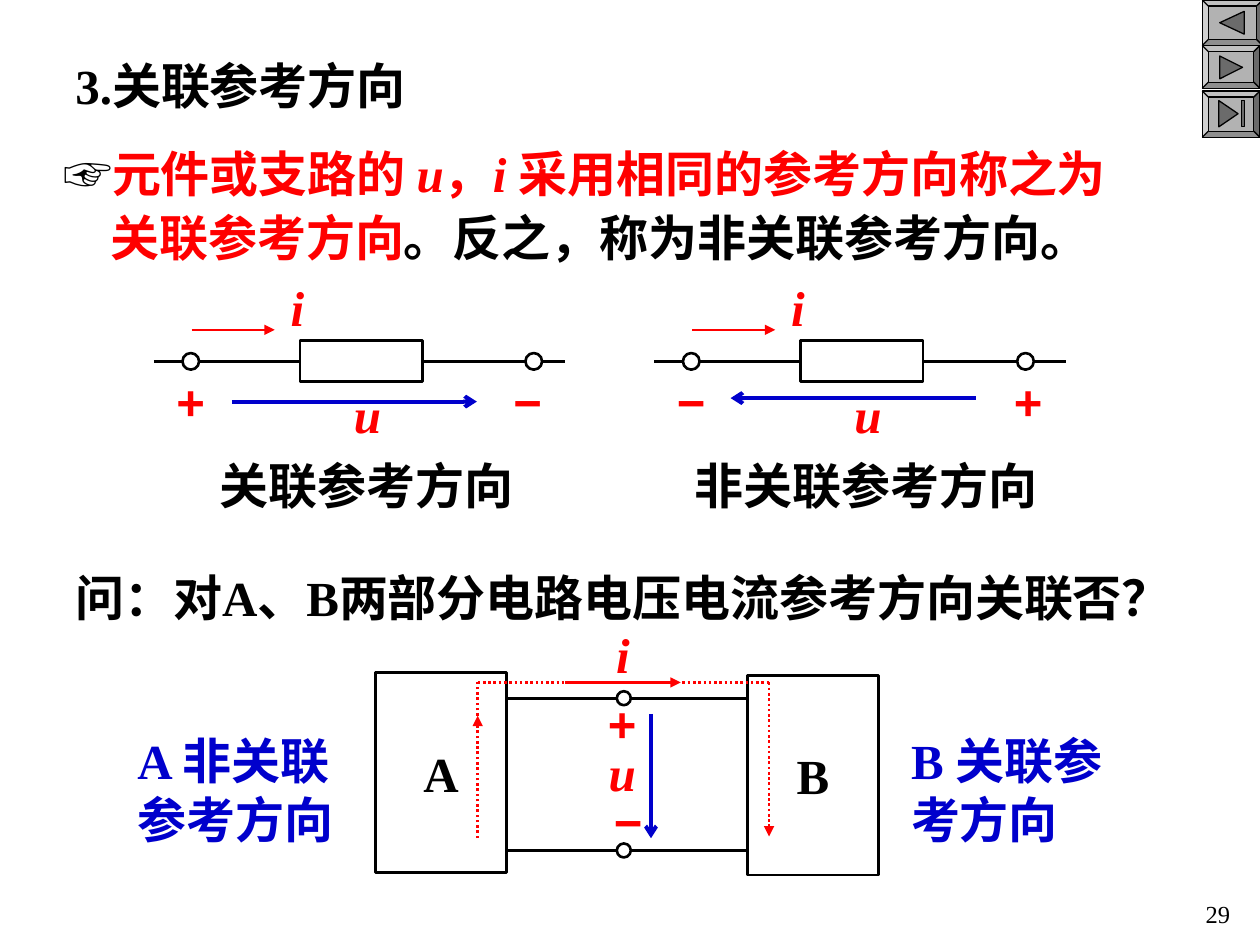
from lxml.etree import SubElement
from pptx import Presentation
from pptx.dml.color import RGBColor
from pptx.enum.dml import MSO_LINE
from pptx.enum.shapes import MSO_CONNECTOR, MSO_SHAPE
from pptx.enum.text import MSO_ANCHOR as Anchor, PP_ALIGN as Align
from pptx.oxml.ns import qn
from pptx.util import Pt

COLORS = {"black": "000000", "red": "FF0000", "blue": "0000CC", "white": "FFFFFF",
          "button": "B2B2B2", "icon": "6B6B6B"}
SERIF, SANS = "Times New Roman", "Arial"
SIZE = 28
LINE_HEIGHT = 41

# Runs: text, colour, font, italic
DEFINITION = [
    ("☞", "black", SANS, False),
    ("元件或支路的 ", "red", SERIF, False),
    ("u", "red", SERIF, True),
    ("，", "red", SERIF, False),
    ("i ", "red", SERIF, True),
    ("采用相同的参考方向称之为关联参考方向", "red", SERIF, False),
    ("。反之，称为非关联参考方向。", "black", SERIF, False),
]
# Text, left, top, width, height, colour, alignment
HEADINGS = [
    ("3.关联参考方向", 36, 28, 315, LINE_HEIGHT, "black", Align.LEFT),
    ("关联参考方向", 113, 256.5, 193, LINE_HEIGHT, "black", Align.CENTER),
    ("非关联参考方向", 381, 256.5, 227.5, LINE_HEIGHT, "black", Align.CENTER),
    ("B 关联参考方向", 513.5, 413.5, 126.5, 75, "blue", Align.LEFT),
    ("A 非关联参考方向", 71.5, 413.5, 149, 75, "blue", Align.LEFT),
    ("问：对A、B两部分电路电压电流参考方向关联否？", 36, 320.5, 670, LINE_HEIGHT,
     "black", Align.LEFT),
]
# Wire start, signs at the two terminals, right terminal offset, voltage arrow
ELEMENTS = [
    {"left": 88, "signs": "+−", "terminal": 217, "voltage": (44.5, 184.5), "arrow_y": 229.5},
    {"left": 374, "signs": "−+", "terminal": 212, "voltage": (183.5, 43.5), "arrow_y": 227.5},
]
# Label, left, top of the two circuit parts
PARTS = [("B", 427, 386), ("A", 214.5, 384.5)]
PART_WIDTH, PART_HEIGHT = 75, 114
PORT_X, PORT_YS = 449, (399, 486)
# Start, end, arrowhead
CURRENT_LOOP = [
    ((273, 479), (273, 409), "triangle"),
    ((273, 409), (273, 390), None),
    ((273, 390), (323, 390), None),
    ((390, 390), (440, 390), None),
    ((439.5, 390), (439.5, 478), "triangle"),
]
# Top, width, height, icon outlines as offsets from the button's corner
BUTTONS = [
    (0, 34.5, 26, [[(10, 13), (24, 6.5), (24, 19.5)]]),
    (26, 33, 24.5, [[(10, 6), (23, 12.5), (10, 19)]]),
    (52, 33, 26.5, [[(20.5, 13), (9.5, 20.5), (9.5, 5.5)],
                    [(22.5, 5.5), (24, 5.5), (24, 20.5), (22.5, 20.5)]]),
]
BUTTON_LEFT, BEVEL = 687, 3.5

prs = Presentation()
prs.slide_width, prs.slide_height = Pt(720), Pt(540)
slide = prs.slides.add_slide(prs.slide_layouts[6])
shapes = slide.shapes


def rgb(color):
    return RGBColor.from_string(COLORS[color])


def style_font(font, color, face=SERIF, size=SIZE, bold=True, italic=False):
    font.name, font.size, font.bold, font.italic = face, Pt(size), bold, italic
    font.color.rgb = rgb(color)


def paint(shape, fill, width=1.5):
    shape.shadow.inherit = False
    shape.fill.solid()
    shape.fill.fore_color.rgb = rgb(fill)
    shape.line.color.rgb = rgb("black")
    shape.line.width = Pt(width)
    return shape


def add_preset(kind, left, top, width, height, fill="white", line=1.5):
    return paint(shapes.add_shape(kind, Pt(left), Pt(top), Pt(width), Pt(height)), fill, line)


def add_terminal(x, y, diameter):
    add_preset(MSO_SHAPE.OVAL, x - diameter / 2, y - diameter / 2, diameter, diameter)


def add_text(text, left, top, width, height, color, align=Align.LEFT,
             anchor=Anchor.MIDDLE, **font):
    frame = shapes.add_textbox(Pt(left), Pt(top), Pt(width), Pt(height)).text_frame
    frame.word_wrap = True
    frame.vertical_anchor = anchor
    frame.text = text
    frame.paragraphs[0].alignment = align
    for run in frame.paragraphs[0].runs:
        style_font(run.font, color, **font)
    return frame


def add_symbol(text, center, top):
    """Red quantity (italic) or polarity sign centred on an x position."""
    quantity = text.isalpha()
    add_text(text, center - 16, top, 32, LINE_HEIGHT, "red", Align.CENTER, Anchor.TOP,
             face=SERIF if quantity else SANS, italic=quantity)


def add_line(start, end, color="black", width=1.5, head=None, dotted=False):
    points = [Pt(value) for value in (*start, *end)]
    line = shapes.add_connector(MSO_CONNECTOR.STRAIGHT, *points)
    line.line.color.rgb = rgb(color)
    line.line.width = Pt(width)
    if dotted:
        line.line.dash_style = MSO_LINE.ROUND_DOT
    properties = line._element.spPr
    if head:
        SubElement(properties.find(qn("a:ln")), qn("a:tailEnd"), type=head)
    SubElement(properties, qn("a:effectLst"))


def add_button(top, width, height, icons):
    bevel = add_preset(MSO_SHAPE.BEVEL, BUTTON_LEFT, top, width, height, "button", 0.75)
    bevel.adjustments[0] = BEVEL / min(width, height)
    for outline in icons:
        corners = [(Pt(BUTTON_LEFT + x), Pt(top + y)) for x, y in outline]
        builder = shapes.build_freeform(*corners[0])
        builder.add_line_segments(corners[1:], close=True)
        paint(builder.convert_to_shape(), "icon", 0.75)


def add_definition():
    frame = add_text("", 29, 75, 624, 81, "black", anchor=Anchor.TOP)
    paragraph = frame.paragraphs[0]
    paragraph.line_spacing = 1.1
    indent = paragraph._p.get_or_add_pPr()
    indent.set("marL", str(Pt(27)))
    indent.set("indent", str(-Pt(27)))
    for text, color, face, italic in DEFINITION:
        run = paragraph.add_run()
        run.text = text
        style_font(run.font, color, face, italic=italic)


def add_element(left, signs, terminal, voltage, arrow_y):
    """Two-terminal element with its current and voltage references."""
    wire_y = 206.5
    add_line((left, wire_y), (left + 235, wire_y))
    add_preset(MSO_SHAPE.RECTANGLE, left + 83.5, 194.5, 70, 23.5)
    for x in (21, terminal):
        add_terminal(left + x, wire_y, 9.5)
    add_symbol("u", left + 122, 216)
    add_symbol("i", left + 82, 155)
    for sign, x in zip(signs, (21, 213.5)):
        add_symbol(sign, left + x, 209)
    add_line((left + 21.5, 188.5), (left + 69, 188.5), "red", head="triangle")
    add_line((left + voltage[0], arrow_y), (left + voltage[1], arrow_y),
             "blue", 2.25, "arrow")


def add_two_part_circuit():
    for y in PORT_YS:
        add_line((PARTS[0][1], y), (PARTS[1][1] + PART_WIDTH, y))
    for label, left, top in PARTS:
        part = add_preset(MSO_SHAPE.RECTANGLE, left, top, PART_WIDTH, PART_HEIGHT)
        part.text_frame.vertical_anchor = Anchor.MIDDLE
        part.text_frame.text = label
        paragraph = part.text_frame.paragraphs[0]
        paragraph.alignment = Align.CENTER
        style_font(paragraph.runs[0].font, "black")
    middle = PORT_X / 2 + 132
    for y in PORT_YS:
        add_terminal(middle, y, 8)
    for symbol, center, top in (("i", 356, 353.5), ("+", 355.5, 392.5),
                                ("u", 355.5, 420.5), ("−", 359, 448.5)):
        add_symbol(symbol, center, top)
    add_line((323, 390), (389, 390), "red", head="triangle")
    for start, end, head in CURRENT_LOOP:
        add_line(start, end, "red", head=head, dotted=True)
    add_line((372, 408), (372, 479), "blue", 2.25, "arrow")


for button in BUTTONS:
    add_button(*button)
add_definition()
for heading in HEADINGS:
    add_text(*heading)
for element in ELEMENTS:
    add_element(**element)
add_two_part_circuit()
add_text("29", 560, 510, 150, 29, "black", Align.RIGHT, Anchor.TOP, size=14, bold=False)
prs.save("out.pptx")
